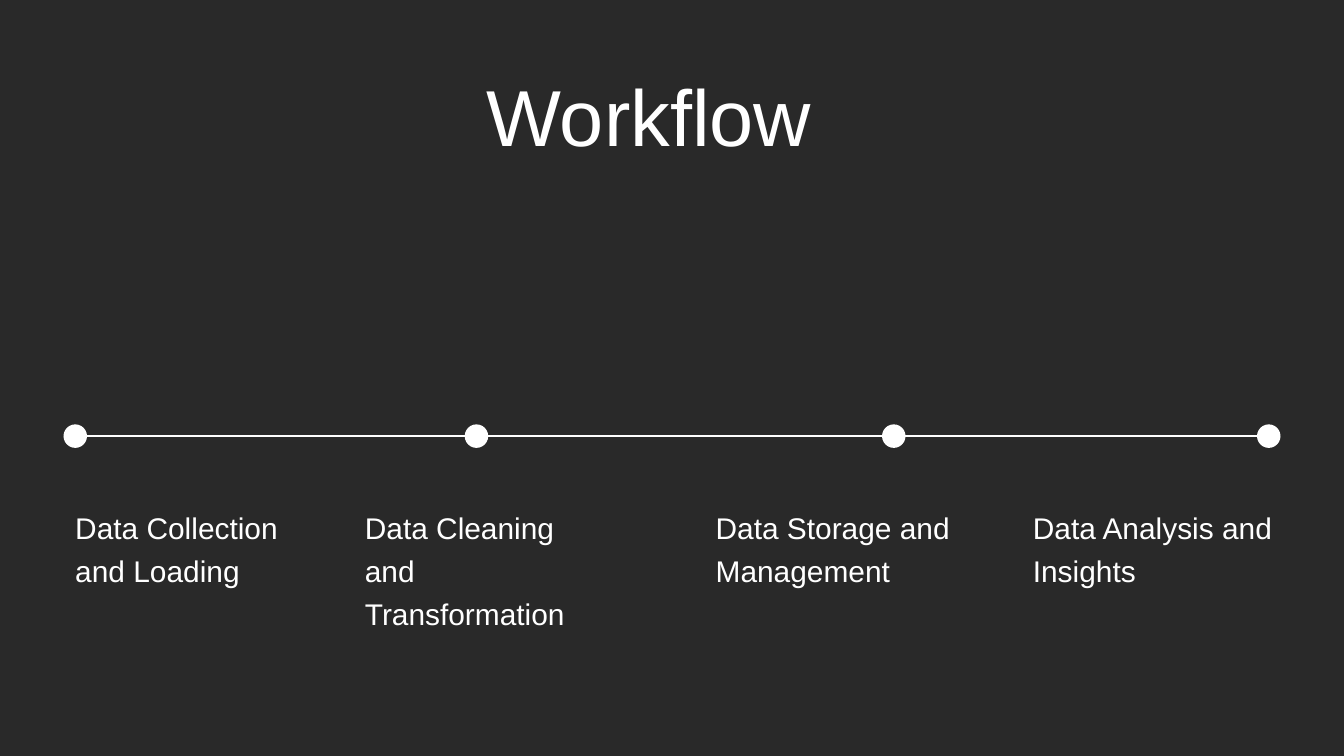
from dataclasses import dataclass

from lxml import etree
from pptx import Presentation
from pptx import util as u
from pptx.dml.color import RGBColor
from pptx.enum import shapes, text
from pptx.oxml.ns import qn
from pptx.slide import Slide

COLORS = {"background": "292929", "foreground": "FFFFFF"}
TIMELINE_Y = 6.49
DOT_SIZE = 0.35
LABEL_TOP, LABEL_WIDTH, LABEL_HEIGHT = 7.48, 3.67, 1.07
STAGES = [
    (1.12, 1.12, "Data Collection and Loading"),
    (7.09, 5.43, "Data Cleaning and Transformation"),
    (13.3, 10.65, "Data Storage and Management"),
    (18.88, 15.37, "Data Analysis and Insights"),
]


@dataclass
class SlideBuilder:
    slide: Slide
    font: str = "Arial"
    line_spacing: float = 1.2

    def color(self, name):
        return RGBColor.from_string(COLORS[name])

    def background(self):
        fill = self.slide.background.fill
        fill.solid()
        fill.fore_color.rgb = self.color("background")

    def line(self, start, end, y):
        connector = self.slide.shapes.add_connector(
            shapes.MSO_CONNECTOR.STRAIGHT,
            u.Inches(start), u.Inches(y), u.Inches(end), u.Inches(y),
        )
        connector.line.color.rgb = self.color("foreground")
        connector.line.width = u.Pt(1.5)
        etree.SubElement(connector._element.spPr, qn("a:effectLst"))

    def dot(self, center_x, center_y, size):
        shape = self.slide.shapes.add_shape(
            shapes.MSO_SHAPE.OVAL,
            u.Inches(center_x - size / 2), u.Inches(center_y - size / 2),
            u.Inches(size), u.Inches(size),
        )
        shape.shadow.inherit = False
        shape.fill.solid()
        shape.fill.fore_color.rgb = self.color("foreground")
        shape.line.fill.background()

    def text(self, content, left, top, width, height, size):
        box = self.slide.shapes.add_textbox(
            u.Inches(left), u.Inches(top), u.Inches(width), u.Inches(height)
        )
        frame = box.text_frame
        frame.word_wrap = True
        frame.auto_size = text.MSO_AUTO_SIZE.SHAPE_TO_FIT_TEXT
        frame.margin_left = frame.margin_top = 0
        frame.margin_right = frame.margin_bottom = 0
        paragraph = frame.paragraphs[0]
        paragraph.line_spacing = self.line_spacing
        run = paragraph.add_run()
        run.text = content
        run.font.name = self.font
        run.font.size = u.Pt(size)
        run.font.color.rgb = self.color("foreground")


def main():
    presentation = Presentation()
    presentation.slide_width = u.Inches(20)
    presentation.slide_height = u.Inches(11.25)
    builder = SlideBuilder(presentation.slides.add_slide(presentation.slide_layouts[6]))

    builder.background()
    builder.line(STAGES[0][0], STAGES[-1][0], TIMELINE_Y)
    builder.text("Workflow", 7.24, 0.72, 5.52, 1.43, 85)
    for dot_x, label_left, label in STAGES:
        builder.dot(dot_x, TIMELINE_Y, DOT_SIZE)
        builder.text(label, label_left, LABEL_TOP, LABEL_WIDTH, LABEL_HEIGHT, 32)

    presentation.save("out.pptx")


if __name__ == "__main__":
    main()
